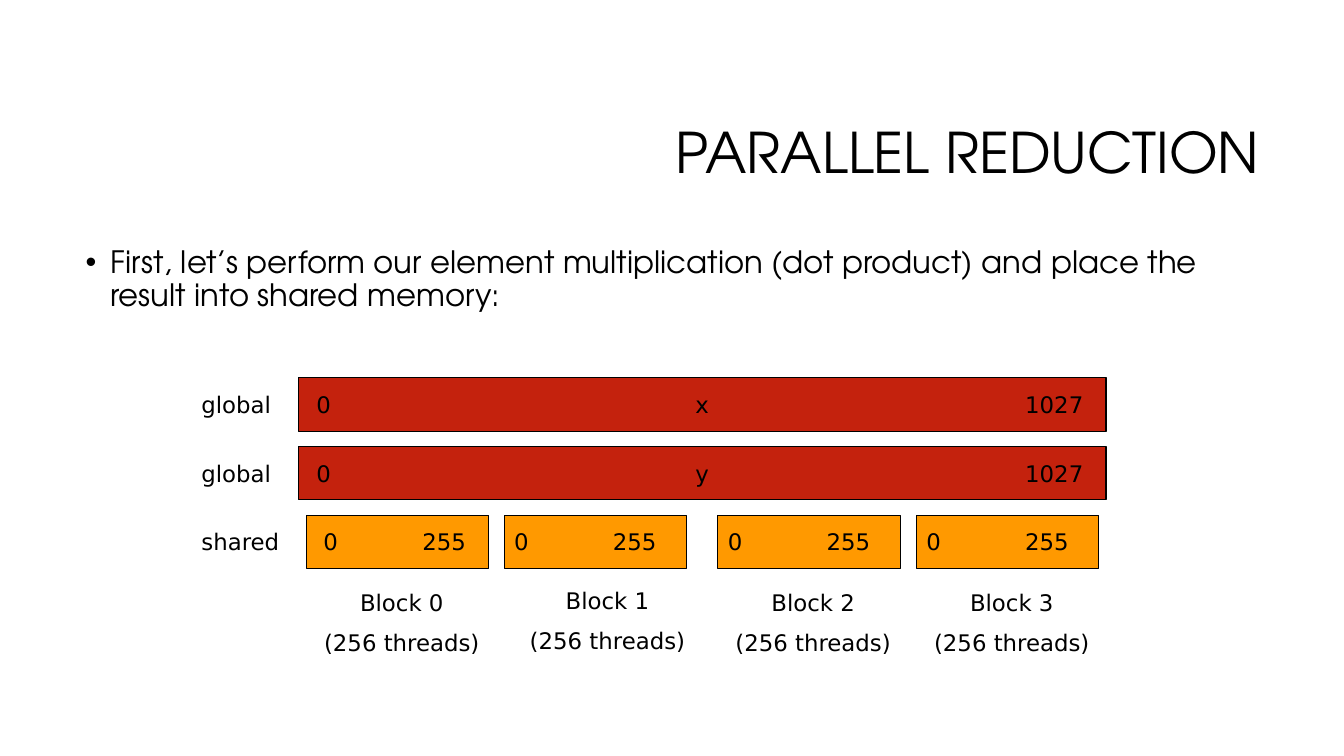
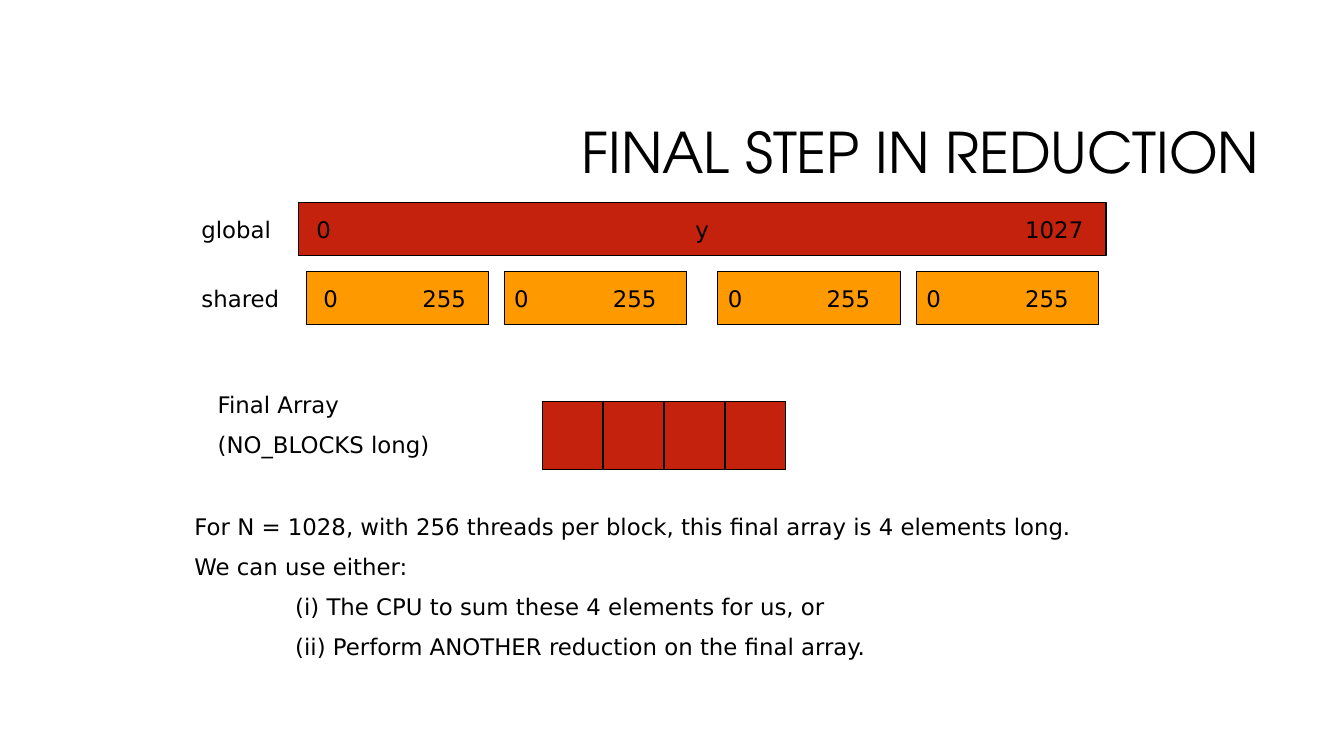
"""Build two slides on parallel reduction with shared memory blocks."""
from lxml import etree
from pptx import Presentation
from pptx.dml.color import RGBColor
from pptx.enum.shapes import MSO_SHAPE
from pptx.enum.text import MSO_ANCHOR, PP_ALIGN
from pptx.oxml.ns import qn
from pptx.util import Inches, Pt

RECT = MSO_SHAPE.RECTANGLE
MIDDLE, TOP = MSO_ANCHOR.MIDDLE, MSO_ANCHOR.TOP
LEFT, CENTER, RIGHT = PP_ALIGN.LEFT, PP_ALIGN.CENTER, PP_ALIGN.RIGHT
BLACK = RGBColor(0x00, 0x00, 0x00)
RED = RGBColor(0xC4, 0x22, 0x0D)
ORANGE = RGBColor(0xFF, 0x99, 0x00)
HEAD, BODY = "TeX Gyre Adventor", "DejaVu Sans"
STARTS = [3.04, 5, 7.12, 9.09]
PITCH = 0.68
INSET = 0.08


def write(slide, lines, x, y, w, h, align=LEFT, anchor=TOP, font=BODY, size=16.3, space=None):
    area = slide.shapes.add_textbox(Inches(x), Inches(y), Inches(w), Inches(h))
    frame = area.text_frame
    frame.word_wrap = True
    frame.vertical_anchor = anchor
    for i, line in enumerate(lines):
        para = frame.add_paragraph() if i else frame.paragraphs[0]
        para.alignment = align
        if space:
            para.line_spacing = space
        if i:
            para.space_before = Pt(9)
        run = para.add_run()
        run.text = line
        run.font.name = font
        run.font.size = Pt(size)
        run.font.color.rgb = BLACK
    return frame


def draw(slide, x, y, w, h, fill):
    bar = slide.shapes.add_shape(RECT, Inches(x), Inches(y), Inches(w), Inches(h))
    bar.shadow.inherit = False
    bar.fill.solid()
    bar.fill.fore_color.rgb = fill
    bar.line.color.rgb = BLACK
    bar.line.width = Pt(0.75)
    return bar


deck = Presentation()
deck.slide_width, deck.slide_height = Inches(13.33), Inches(7.5)
slides = []

for title, top, arrays in [
    ("PARALLEL REDUCTION", 3.75, "xy"),
    ("FINAL STEP IN REDUCTION", 2.01, "y"),
]:
    slide = deck.slides.add_slide(deck.slide_layouts[6])
    slides.append(slide)
    write(slide, [title], 3.17, 0.84, 9.42, 1.41, RIGHT, MIDDLE, HEAD, 40, 0.9)

    for row, name in enumerate(arrays):
        y = top + row * PITCH
        frame = draw(slide, 2.96, y, 8.01, 0.53, RED).text_frame
        frame.word_wrap = False
        frame.vertical_anchor = MIDDLE
        para = frame.paragraphs[0]
        para.alignment = CENTER
        run = para.add_run()
        run.text = name
        run.font.name = BODY
        run.font.size = Pt(16.3)
        run.font.color.rgb = BLACK
        for text, x, w in [("global", 1.9, 1.13), ("0", 3.04, 0.38), ("1027", 10.07, 0.83)]:
            write(slide, [text], x, y + INSET, w, 0.38)

    y = top + len(arrays) * PITCH
    write(slide, ["shared"], 1.9, y + INSET, 1.13, 0.38)
    for i, x in enumerate(STARTS):
        draw(slide, x, y, 1.81, 0.53, ORANGE)
        shift = 0 if i else 0.07
        write(slide, ["0"], x + shift, y + INSET, 0.38, 0.38)
        write(slide, ["255"], x + shift + 0.98, y + INSET, 0.83, 0.38)

first, last = slides

point = "First, let’s perform our element multiplication (dot product) and place the result into shared memory:"
frame = write(first, [point], 0.75, 2.4, 11.83, 4.4, font=HEAD, size=22, space=0.9)
props = frame.paragraphs[0]._p.get_or_add_pPr()
props.set("marL", str(Inches(0.25)))
props.set("indent", str(Inches(-0.25)))
etree.SubElement(props, qn("a:buFont")).set("typeface", "Arial")
etree.SubElement(props, qn("a:buChar")).set("char", "•")

for i, (x, y) in enumerate([(3.04, 5.79), (5.08, 5.77), (7.12, 5.79), (9.09, 5.79)]):
    write(first, [f"Block {i}", "(256 threads)"], x, y, 1.89, 0.79, CENTER)

for i in range(4):
    draw(last, 5.38 + i * 0.605, 3.98, 0.6, 0.68, RED)
write(last, ["Final Array", "(NO_BLOCKS long)"], 2.06, 3.83, 3.18, 0.79)
notes = [
    "For N = 1028, with 256 threads per block, this final array is 4 elements long.",
    "We can use either:",
    "(i) The CPU to sum these 4 elements for us, or",
    "(ii) Perform ANOTHER reduction on the final array.",
]
frame = write(last, notes, 1.83, 5.04, 10.43, 1.61)
for para in frame.paragraphs[2:]:
    para._p.get_or_add_pPr().set("marL", str(Inches(1)))

deck.save("out.pptx")
